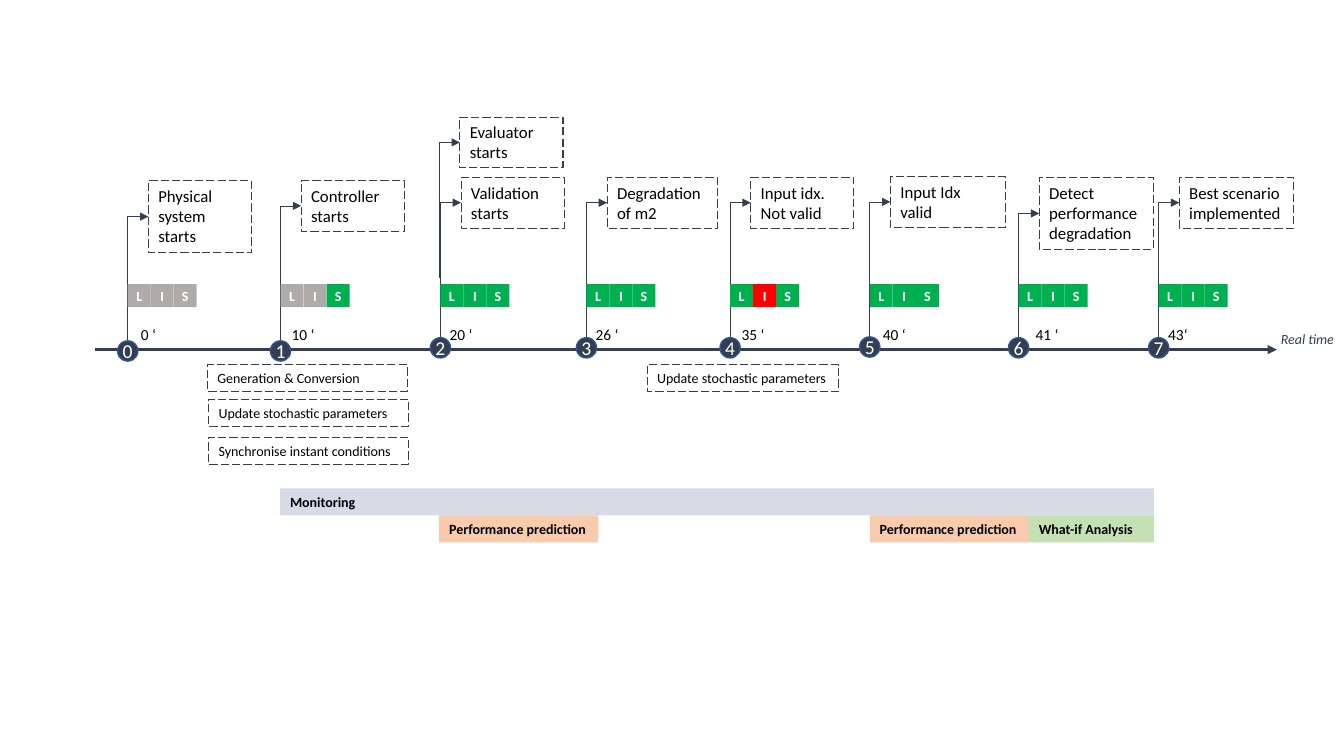
from dataclasses import dataclass

from lxml.etree import SubElement
from pptx import Presentation
from pptx.dml.color import RGBColor
from pptx.enum.dml import MSO_LINE
from pptx.enum.shapes import MSO_CONNECTOR as Link, MSO_SHAPE as Form
from pptx.enum.text import MSO_ANCHOR as Anchor, PP_ALIGN as Align
from pptx.oxml.ns import qn
from pptx.util import Cm, Pt


@dataclass(frozen=True)
class Theme:
    """Colours, type sizes and line widths of the slide."""
    font: str = "Calibri"
    navy: str = "333F50"
    rim: str = "325491"
    ink: str = "000000"
    white: str = "FFFFFF"
    idle: str = "AFABAB"
    good: str = "00B050"
    bad: str = "FF0000"
    monitoring: str = "D6DCE5"
    prediction: str = "F8CBAD"
    analysis: str = "C5E0B4"
    number: int = 14
    event: int = 12
    minute: int = 11
    small: int = 10
    axis_line: float = 2.25
    dash_line: float = 0.75
    stem_line: float = 0.5


@dataclass(frozen=True)
class Milestone:
    """One numbered moment on the time axis, in centimetres."""
    stem: float
    dip: float
    width: float
    height: float
    event: str
    minute: str
    minute_shift: float
    states: str


THEME = Theme()
STATE_COLORS = {"n": THEME.idle, "g": THEME.good, "r": THEME.bad}
MILESTONES = [
    Milestone(3.22, 0.08, 2.6, 1.82, "Physical system starts", "0 ‘", 0.08, "nnn"),
    Milestone(7.07, 0.08, 2.6, 1.28, "Controller starts", "10 ‘", 0.03, "nng"),
    Milestone(11.1, 0, 2.6, 1.28, "Validation starts", "20 ‘", -0.02, "ggg"),
    Milestone(14.78, 0, 2.78, 1.28, "Degradation of m2", "26 ‘", -0.02, "ggg"),
    Milestone(18.4, 0, 2.6, 1.28, "Input idx. Not valid", "35 ‘", 0.04, "grg"),
    Milestone(21.92, -0.02, 2.89, 1.28, "Input Idx valid", "40 ‘", 0.08, "ggg"),
    Milestone(25.67, 0, 2.88, 1.82, "Detect performance degradation", "41 ‘", 0.18, "ggg"),
    Milestone(29.2, 0, 2.88, 1.28, "Best scenario implemented", "43‘", -0.01, "ggg"),
]
TASKS = [
    (0, 0, 5.03, "Generation & Conversion"),
    (0.03, 0.87, 5.03, "Update stochastic parameters"),
    (0.03, 1.83, 5.03, "Synchronise instant conditions"),
    (11.08, 0, 4.83, "Update stochastic parameters"),
]
PHASES = [
    (0, 0, 22.02, "Monitoring", THEME.monitoring),
    (4.01, 1, 4.01, "Performance prediction", THEME.prediction),
    (14.86, 1, 4.01, "Performance prediction", THEME.prediction),
    (18.87, 1, 3.15, "What-if Analysis", THEME.analysis),
]
REACH = 0.52
DOT = 0.51
CELL = 0.58
ROW = 0.68


def rgb(color):
    """Turn a hex string into a colour."""
    return RGBColor.from_string(color)


def write(shape, text, size, color=THEME.ink, bold=False, italic=False, centred=False):
    """Write one paragraph into a shape."""
    frame = shape.text_frame
    frame.word_wrap = not centred
    frame.vertical_anchor = Anchor.MIDDLE if centred else Anchor.TOP
    if centred:
        frame.margin_left = frame.margin_right = frame.margin_top = frame.margin_bottom = 0
    line = frame.paragraphs[0]
    line.text = text
    line.alignment = Align.CENTER if centred else Align.LEFT
    line.font.name, line.font.size = THEME.font, Pt(size)
    line.font.bold, line.font.italic = bold, italic
    line.font.color.rgb = rgb(color)


def block(slide, left, top, width, height, fill=None, form=Form.RECTANGLE):
    """Add a shape that is filled, or dashed when it has no fill."""
    shape = slide.shapes.add_shape(form, Cm(left), Cm(top), Cm(width), Cm(height))
    shape.shadow.inherit = False
    if fill:
        shape.fill.solid()
        shape.fill.fore_color.rgb = rgb(fill)
        shape.line.fill.background()
    else:
        shape.fill.background()
        shape.line.color.rgb = rgb(THEME.navy)
        shape.line.width = Pt(THEME.dash_line)
        shape.line.dash_style = MSO_LINE.LONG_DASH
    return shape


def label(slide, left, top, width, height):
    """Add an empty text box."""
    return slide.shapes.add_textbox(Cm(left), Cm(top), Cm(width), Cm(height))


def arrow(slide, kind, start, end, width):
    """Add a connector with an arrowhead at its end."""
    link = slide.shapes.add_connector(kind, *map(Cm, start + end))
    link.line.color.rgb = rgb(THEME.navy)
    link.line.width = Pt(width)
    properties = link._element.spPr
    SubElement(properties.find(qn("a:ln")), qn("a:tailEnd"), type="triangle")
    SubElement(properties, qn("a:effectLst"))
    return link


def draw_axis(slide, left, top, width):
    """Draw the time axis and its name."""
    arrow(slide, Link.STRAIGHT, (left, top), (left + width, top), THEME.axis_line)
    name = label(slide, left + width - 0.15, top - 0.61, 1.83, ROW)
    name.text_frame.margin_right = 0
    write(name, "Real time", THEME.small, THEME.navy, italic=True)


def draw_event(slide, stem, top, width, height, text, foot):
    """Draw an event card with the bent arrow that rises to it from foot."""
    write(block(slide, stem + REACH, top, width, height), text, THEME.event)
    middle = top + height / 2
    rise = foot - middle
    x, y = stem + REACH / 2, (foot + middle) / 2
    bend = arrow(slide, Link.ELBOW, (x + rise / 2, y + REACH / 2),
                 (x - rise / 2, y - REACH / 2), THEME.stem_line)
    properties = bend._element.spPr
    properties.find(qn("a:xfrm")).set("rot", "5400000")
    properties.find(qn("a:prstGeom")).set("prst", "bentConnector2")


def draw_milestone(slide, top, number, moment):
    """Draw the card, status cells, minute and numbered dot of a milestone."""
    dot_top = top + 4.04 + moment.dip
    draw_event(slide, moment.stem, top + moment.dip, moment.width, moment.height,
               moment.event, dot_top)
    dot = block(slide, moment.stem - DOT / 2, dot_top, DOT, DOT, THEME.navy, Form.OVAL)
    dot.line.color.rgb = rgb(THEME.rim)
    dot.line.width = Pt(1)
    write(dot, str(number), THEME.number, THEME.white, centred=True)
    for place, (letter, state) in enumerate(zip("LIS", moment.states)):
        cell = block(slide, moment.stem + place * CELL, top + 2.69, CELL, CELL,
                     STATE_COLORS[state])
        write(cell, letter, THEME.small, THEME.white, bold=True, centred=True)
    minute = label(slide, moment.stem + moment.minute_shift, top + 3.61, 1.17, 0.73)
    write(minute, moment.minute, THEME.minute)


def draw_tasks(slide, left, top):
    """Draw the dashed task boxes under the axis."""
    for x, y, width, text in TASKS:
        write(block(slide, left + x, top + y, width, ROW), text, THEME.small)


def draw_phases(slide, left, top):
    """Draw the coloured phase bars in two rows."""
    for x, row, width, text, color in PHASES:
        bar = block(slide, left + x, top + row * ROW, width, ROW, color)
        write(bar, text, THEME.small, bold=True)


def main():
    """Build the timeline slide and save it."""
    deck = Presentation()
    deck.slide_width, deck.slide_height = Cm(33.87), Cm(19.05)
    slide = deck.slides.add_slide(deck.slide_layouts[6])
    draw_axis(slide, 2.39, 8.81, 29.79)
    for number, moment in enumerate(MILESTONES):
        draw_milestone(slide, 4.47, number, moment)
    draw_event(slide, 11.07, 2.95, 2.6, 1.28, "Evaluator starts", 7)
    draw_tasks(slide, 5.23, 9.19)
    draw_phases(slide, 7.06, 12.31)
    deck.save("out.pptx")


if __name__ == "__main__":
    main()
